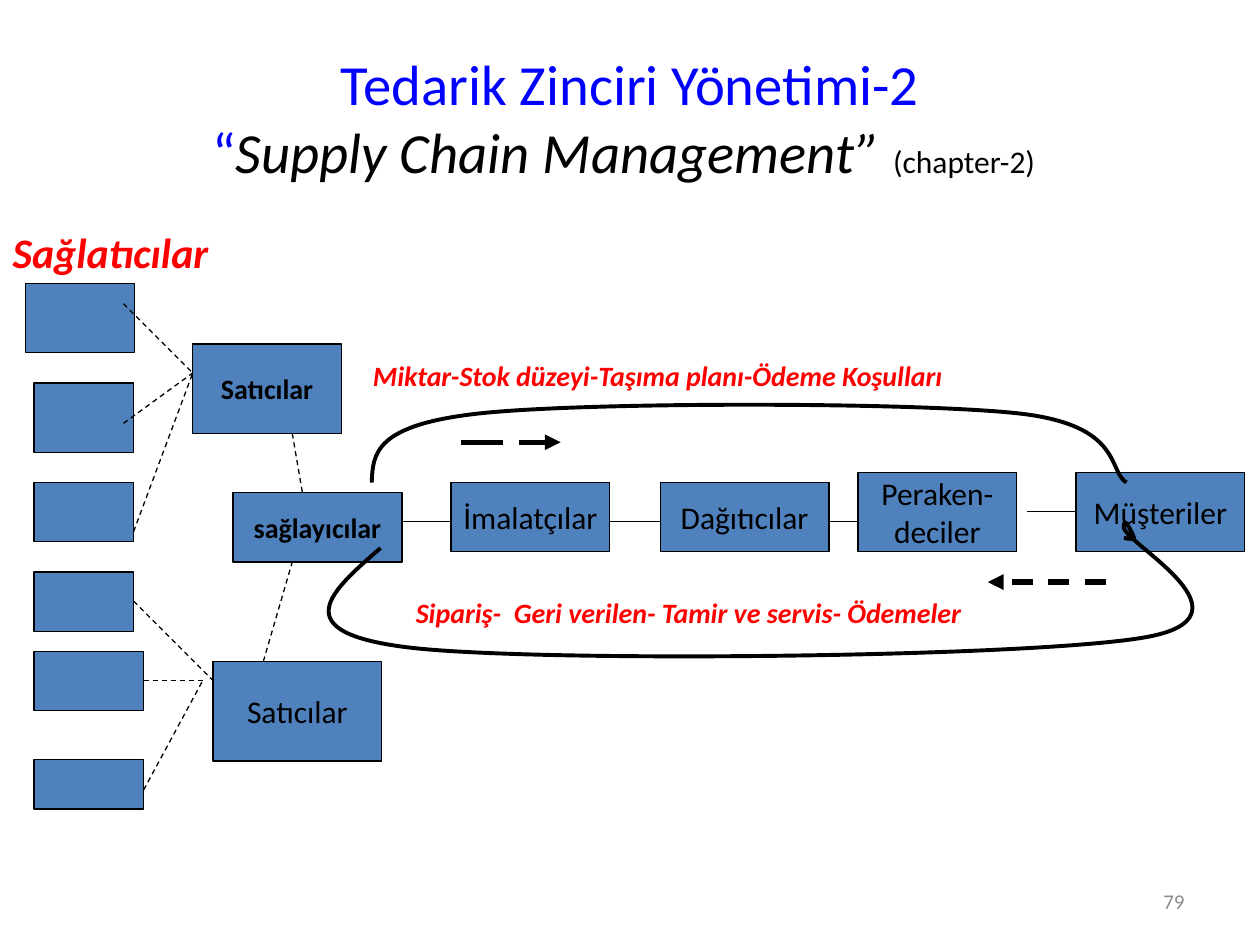
from lxml import etree
from pptx import Presentation
from pptx.dml.color import RGBColor
from pptx.enum.dml import MSO_LINE
from pptx.enum.shapes import MSO_CONNECTOR, MSO_SHAPE
from pptx.enum.text import MSO_ANCHOR, MSO_AUTO_SIZE, PP_ALIGN
from pptx.oxml.ns import qn
from pptx.util import Inches, Pt

RECT, STRAIGHT = MSO_SHAPE.RECTANGLE, MSO_CONNECTOR.STRAIGHT
DASH, LONG_DASH = MSO_LINE.DASH, MSO_LINE.LONG_DASH
MIDDLE, TOP = MSO_ANCHOR.MIDDLE, MSO_ANCHOR.TOP
LEFT, CENTER, RIGHT = PP_ALIGN.LEFT, PP_ALIGN.CENTER, PP_ALIGN.RIGHT
NO_FIT = MSO_AUTO_SIZE.NONE
FONT, BLACK, RED, BLUE = "Calibri", "000000", "FF0000", "0000FF"
BOX_FILL, GREY = "4F81BD", "8C8C8C"

SUPPLIER_BOXES = [
    (0.2, 2.25, 0.87, 0.55), (0.27, 3.04, 0.79, 0.55),
    (0.27, 3.83, 0.79, 0.47), (0.27, 4.54, 0.79, 0.47),
    (0.27, 5.17, 0.87, 0.47), (0.27, 6.03, 0.87, 0.39),
]
CHAIN_BOXES = [
    ("Satıcılar", 1.53, 2.73, 1.18, 0.71, 16, True),
    ("Satıcılar", 1.69, 5.25, 1.34, 0.79, 18, False),
    ("sağlayıcılar", 1.85, 3.91, 1.34, 0.55, 16, True),
    ("İmalatçılar", 3.58, 3.83, 1.26, 0.55, 18, False),
    ("Dağıtıcılar", 5.24, 3.83, 1.34, 0.55, 18, False),
    ("Peraken-\ndeciler", 6.81, 3.75, 1.26, 0.63, 18, False),
    ("Müşteriler", 8.54, 3.75, 1.34, 0.63, 18, False),
]
DASHED_LINKS = [
    (0.98, 2.41, 1.53, 2.96), (0.98, 3.36, 1.53, 2.96),
    (1.06, 4.22, 1.53, 2.96), (1.06, 4.77, 1.69, 5.4),
    (1.14, 5.4, 1.61, 5.4), (1.14, 6.27, 1.61, 5.4),
    (2.32, 3.44, 2.4, 3.91), (2.09, 5.25, 2.32, 4.46),
]
SOLID_LINKS = [
    (3.19, 4.14, 3.58, 4.14), (4.84, 4.14, 5.24, 4.14),
    (6.57, 4.14, 6.81, 4.14), (8.15, 4.06, 8.54, 4.06),
]
FORWARD_LOOP = [
    (2.95, 3.83), (2.96, 3.6), (2.97, 3.37), (3.82, 3.28),
    (4.67, 3.19), (7.22, 3.19), (8.07, 3.28),
    (8.92, 3.37), (8.79, 3.74), (8.94, 3.83),
]
RETURN_LOOP = [
    (3.02, 4.35), (2.63, 4.69), (2.24, 5.02), (3.25, 5.14),
    (4.26, 5.26), (8.14, 5.22), (9.08, 5.06),
    (10.02, 4.9), (8.94, 4.32), (8.92, 4.19),
    (8.91, 4.06), (9, 4.26), (9, 4.27),
    (9, 4.28), (8.96, 4.28), (8.92, 4.27),
]
SUBTITLE_RUNS = [
    ("Supply Chain Management” ", 32.4, True),
    ("(chapter-2)", 18, False),
    (" ", 32.4, True),
]
BODY_LINES = [
    ("Sağlatıcılar", 24, 0, 0),
    ("Miktar-Stok düzeyi-Taşıma planı-Ödeme Koşulları", 16, 2.86, 46.5),
    ("Sipariş-  Geri verilen- Tamir ve servis- Ödemeler", 16, 3.2, 116.5),
]


def color(value):
    """Turn a hex string into a colour."""
    return RGBColor.from_string(value)


def format_run(r, size, hex_color, bold=False, italic=False):
    """Set the font of one run."""
    r.font.name, r.font.size = FONT, Pt(size)
    r.font.bold, r.font.italic = bold, italic
    r.font.color.rgb = color(hex_color)


def place(sp, x, y, w, h):
    """Move and size a shape."""
    sp.left, sp.top, sp.width, sp.height = map(Inches, (x, y, w, h))


def set_line(line, width, dash=None):
    """Set a black outline."""
    line.color.rgb = color(BLACK)
    line.width = Pt(width)
    if dash:
        line.dash_style = dash


def add_title(s):
    """Fill the title placeholder."""
    sp = s.shapes.title
    place(sp, 0, 0.3, 10, 1.25)
    tf = sp.text_frame
    tf.auto_size, tf.vertical_anchor = NO_FIT, MIDDLE
    p = tf.paragraphs[0]
    p.alignment = CENTER
    p.text = "Tedarik Zinciri Yönetimi-2\v“"
    for r in p.runs:
        format_run(r, 32.4, BLUE)
    for text, size, italic in SUBTITLE_RUNS:
        r = p.add_run()
        r.text = text
        format_run(r, size, BLACK, italic=italic)


def add_body(s):
    """Fill the body placeholder with the red captions."""
    sp = s.placeholders[1]
    place(sp, 0, 1.75, 10, 5.75)
    tf = sp.text_frame
    tf.auto_size, tf.vertical_anchor = NO_FIT, TOP
    tf.text = "\n".join(line[0] for line in BODY_LINES)
    for p, (_, size, indent, gap) in zip(tf.paragraphs, BODY_LINES):
        p.alignment, p.space_before = LEFT, Pt(gap)
        pPr = p._p.get_or_add_pPr()
        pPr.set("marL", str(Inches(indent)))
        pPr.set("indent", "0")
        etree.SubElement(pPr, qn("a:buNone"))
        format_run(p.runs[0], size, RED, True, True)


def add_box(s, x, y, w, h, text="", size=18, bold=False):
    """Add a blue box with an optional label."""
    sp = s.shapes.add_shape(RECT, *map(Inches, (x, y, w, h)))
    sp.shadow.inherit = False
    sp.fill.solid()
    sp.fill.fore_color.rgb = color(BOX_FILL)
    set_line(sp.line, 0.75)
    if text:
        tf = sp.text_frame
        tf.text = text
        tf.word_wrap, tf.vertical_anchor = False, MIDDLE
        for p in tf.paragraphs:
            p.alignment = CENTER
            format_run(p.runs[0], size, BLACK, bold)


def add_link(s, ends, width=0.75, dash=None, arrow=False):
    """Add a straight connector."""
    sp = s.shapes.add_connector(STRAIGHT, *map(Inches, ends))
    set_line(sp.line, width, dash)
    spPr = sp._element.spPr
    if arrow:
        etree.SubElement(spPr.find(qn("a:ln")), qn("a:tailEnd"), type="triangle")
    etree.SubElement(spPr, qn("a:effectLst"))


def add_loop(s, knots):
    """Add an open curve, three knots to each cubic segment."""
    points = [tuple(map(Inches, knot)) for knot in knots]
    builder = s.shapes.build_freeform(*points[0])
    builder.add_line_segments(points[1:], close=False)
    sp = builder.convert_to_shape()
    sp.shadow.inherit = False
    sp.fill.background()
    set_line(sp.line, 2.25)
    outline = next(sp._element.iter(qn("a:path")))
    steps = outline.findall(qn("a:lnTo"))
    for i in range(0, len(steps), 3):
        curve = etree.SubElement(outline, qn("a:cubicBezTo"))
        for step in steps[i:i + 3]:
            curve.append(step[0])
            outline.remove(step)


def add_page_number(s):
    """Add the page number."""
    sp = s.shapes.add_textbox(*map(Inches, (7.17, 6.95, 2.33, 0.4)))
    tf = sp.text_frame
    tf.text = "79"
    tf.word_wrap, tf.vertical_anchor = True, MIDDLE
    p = tf.paragraphs[0]
    p.alignment = RIGHT
    format_run(p.runs[0], 12, GREY)


def main():
    """Build the slide and save it."""
    prs = Presentation()
    prs.slide_width, prs.slide_height = Inches(10), Inches(7.5)
    s = prs.slides.add_slide(prs.slide_layouts[1])
    add_title(s)
    add_body(s)
    for box in SUPPLIER_BOXES:
        add_box(s, *box)
    for text, x, y, w, h, size, bold in CHAIN_BOXES:
        add_box(s, x, y, w, h, text, size, bold)
    for ends in DASHED_LINKS:
        add_link(s, ends, dash=DASH)
    for ends in SOLID_LINKS:
        add_link(s, ends)
    add_loop(s, FORWARD_LOOP)
    add_loop(s, RETURN_LOOP)
    add_link(s, (3.66, 3.51, 4.45, 3.51), 3, LONG_DASH, True)
    add_link(s, (8.78, 4.62, 7.84, 4.62), 3, DASH, True)
    add_page_number(s)
    prs.save("out.pptx")


main()
